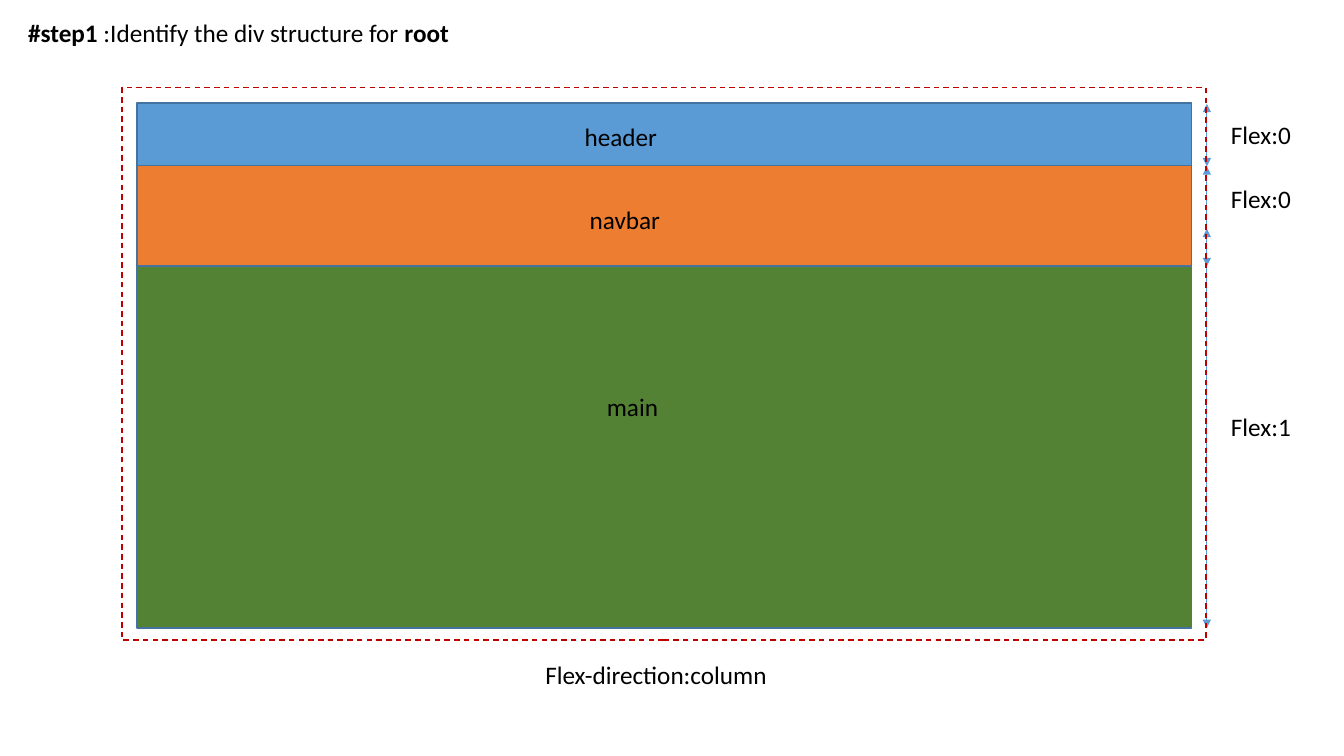
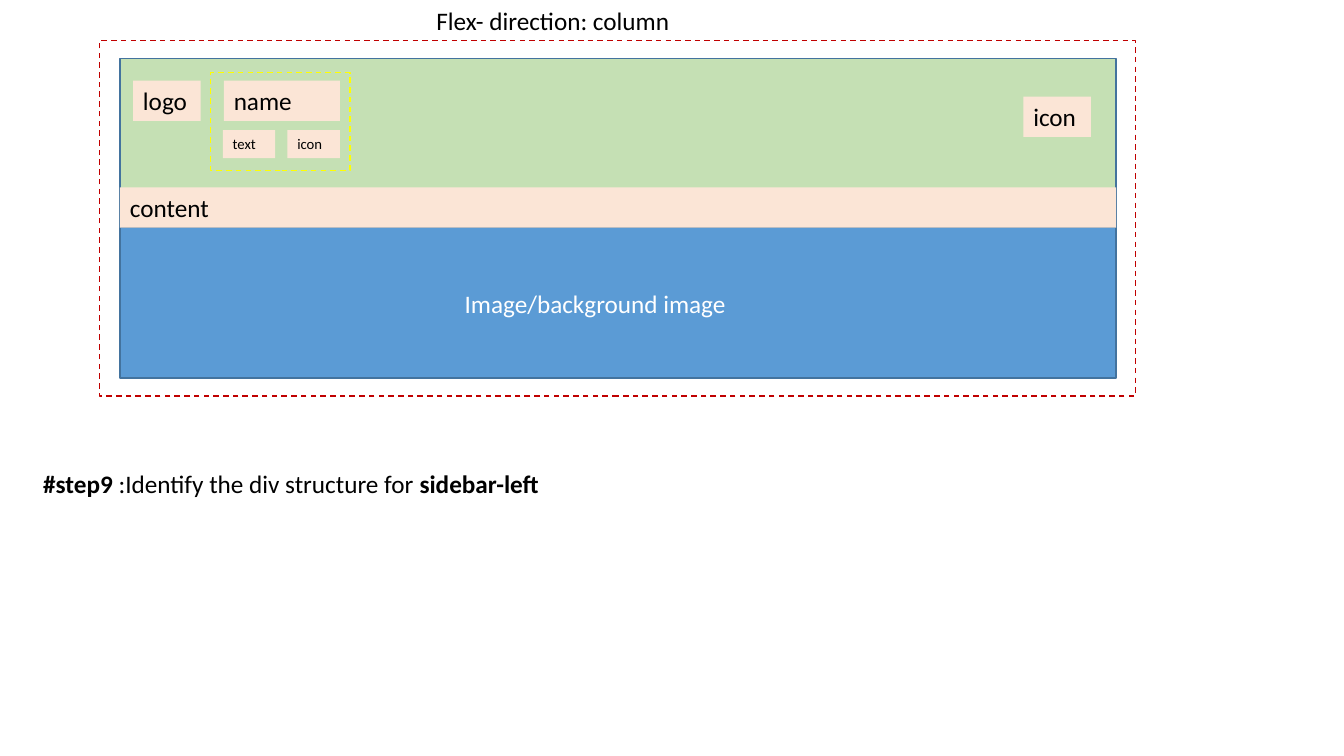
from dataclasses import dataclass
from typing import Optional

from lxml import etree
from pptx import Presentation
from pptx.dml.color import RGBColor
from pptx.enum.dml import MSO_LINE
from pptx.enum.shapes import MSO_CONNECTOR, MSO_SHAPE
from pptx.enum.text import MSO_ANCHOR, PP_ALIGN
from pptx.oxml.ns import qn
from pptx.util import Emu, Pt

RECT = MSO_SHAPE.RECTANGLE
STRAIGHT = MSO_CONNECTOR.STRAIGHT
DASH = MSO_LINE.DASH
LEFT = PP_ALIGN.LEFT
TOP = MSO_ANCHOR.TOP

EMU_PER_PX = 9144  # 100 px to the inch
SLIDE_W, SLIDE_H = 1333, 750
ROW_H = 40  # height of one line of body text
FONT = "Calibri"
BODY, SMALL = 18, 10.5

COLORS = {
    "text": "000000",
    "white": "FFFFFF",
    "blue": "5B9BD5",
    "orange": "ED7D31",
    "green": "548235",
    "pale_green": "C5E0B4",
    "peach": "FBE5D6",
    "outline": "43739E",
    "frame": "C00000",
    "group": "FFFF00",
}


@dataclass(frozen=True)
class Box:
    x: int
    y: int
    w: int
    h: int = ROW_H


@dataclass(frozen=True)
class Run:
    text: str
    bold: bool = False


@dataclass(frozen=True)
class Label:
    text: str
    box: Box
    color: str = "text"


@dataclass(frozen=True)
class Band:
    h: int
    fill: str


@dataclass(frozen=True)
class Chip:
    text: str
    box: Box
    size: float = BODY


def px(n: int) -> Emu:
    return Emu(n * EMU_PER_PX)


def rgb(name: str) -> RGBColor:
    return RGBColor.from_string(COLORS[name])


def place(box: Box) -> tuple:
    return px(box.x), px(box.y), px(box.w), px(box.h)


# Shared drawing functions
def write(s, runs: list[Run], size: float = BODY, color: str = "text") -> None:
    tf = s.text_frame
    tf.word_wrap = True
    tf.vertical_anchor = TOP
    p = tf.paragraphs[0]
    p.alignment = LEFT
    for run in runs:
        r = p.add_run()
        r.text = run.text
        r.font.name = FONT
        r.font.size = Pt(size)
        r.font.bold = run.bold
        r.font.color.rgb = rgb(color)


def add_rect(slide, box: Box, fill: Optional[str] = None,
             line: Optional[str] = None, dashed: bool = False):
    s = slide.shapes.add_shape(RECT, *place(box))
    s.shadow.inherit = False
    if fill:
        s.fill.solid()
        s.fill.fore_color.rgb = rgb(fill)
    else:
        s.fill.background()
    if line:
        s.line.color.rgb = rgb(line)
        s.line.width = Pt(1)
        if dashed:
            s.line.dash_style = DASH
    else:
        s.line.fill.background()
    return s


def add_bands(slide, x: int, y: int, w: int, bands: list[Band]) -> None:
    for band in bands:
        add_rect(slide, Box(x, y, w, band.h), band.fill, "outline")
        y += band.h


def add_label(slide, label: Label) -> None:
    s = slide.shapes.add_textbox(*place(label.box))
    write(s, [Run(label.text)], color=label.color)


def add_step_title(slide, step: int, target: str, box: Box) -> None:
    s = slide.shapes.add_textbox(*place(box))
    write(s, [Run(f"#step{step} ", True),
              Run(":Identify the div structure for "),
              Run(target, True)])


def add_chip(slide, chip: Chip) -> None:
    write(add_rect(slide, chip.box, "peach"), [Run(chip.text)], chip.size)


def add_span_arrow(slide, x: int, top: int, bottom: int) -> None:
    c = slide.shapes.add_connector(STRAIGHT, px(x), px(top), px(x), px(bottom))
    c.line.color.rgb = rgb("blue")
    c.line.width = Pt(0.5)
    ln = c.line._get_or_add_ln()
    for end in ("a:headEnd", "a:tailEnd"):
        etree.SubElement(ln, qn(end), type="triangle")
    etree.SubElement(c._element.spPr, qn("a:effectLst"))


# Slide 1: root layout
def build_root(slide) -> None:
    add_step_title(slide, 1, "root", Box(18, 12, 456))
    add_bands(slide, 136, 102, 1046,
              [Band(62, "blue"), Band(100, "orange"), Band(359, "green")])
    for label in (Label("header", Box(570, 115, 177)),
                  Label("navbar", Box(575, 198, 177)),
                  Label("main", Box(592, 383, 95)),
                  Label("Flex-direction:column", Box(531, 649, 266))):
        add_label(slide, label)

    # Flex spans beside the bands
    for top, bottom in ((103, 165), (165, 264), (227, 623)):
        add_span_arrow(slide, 1197, top, bottom)
    for text, y in (("Flex:0", 113), ("Flex:0", 177), ("Flex:1", 403)):
        add_label(slide, Label(text, Box(1211, y, 95)))
    add_rect(slide, Box(121, 87, 1075, 548), line="frame", dashed=True)


# Slide 2: card layout
def build_card(slide) -> None:
    x, w = 119, 988
    add_bands(slide, x, 58, w, [Band(168, "pale_green"), Band(149, "blue")])
    for chip in (Chip("logo", Box(132, 80, 67)),
                 Chip("name", Box(222, 80, 115)),
                 Chip("text", Box(221, 129, 52, 28), SMALL),
                 Chip("icon", Box(285, 129, 52, 28), SMALL),
                 Chip("icon", Box(1015, 96, 67)),
                 Chip("content", Box(x, 186, w))):
        add_chip(slide, chip)
    add_rect(slide, Box(209, 72, 138, 97), line="group", dashed=True)

    # Captions and outer frame
    add_label(slide, Label("Image/background image", Box(451, 281, 285), "white"))
    add_label(slide, Label("Flex- direction: column", Box(423, 0, 270)))
    add_step_title(slide, 9, "sidebar-left", Box(33, 460, 566))
    add_rect(slide, Box(99, 40, 1027, 353), line="frame", dashed=True)


def main() -> None:
    prs = Presentation()
    prs.slide_width, prs.slide_height = px(SLIDE_W), px(SLIDE_H)
    blank = prs.slide_layouts[6]
    for build in (build_root, build_card):
        build(prs.slides.add_slide(blank))
    prs.save("out.pptx")


if __name__ == "__main__":
    main()
